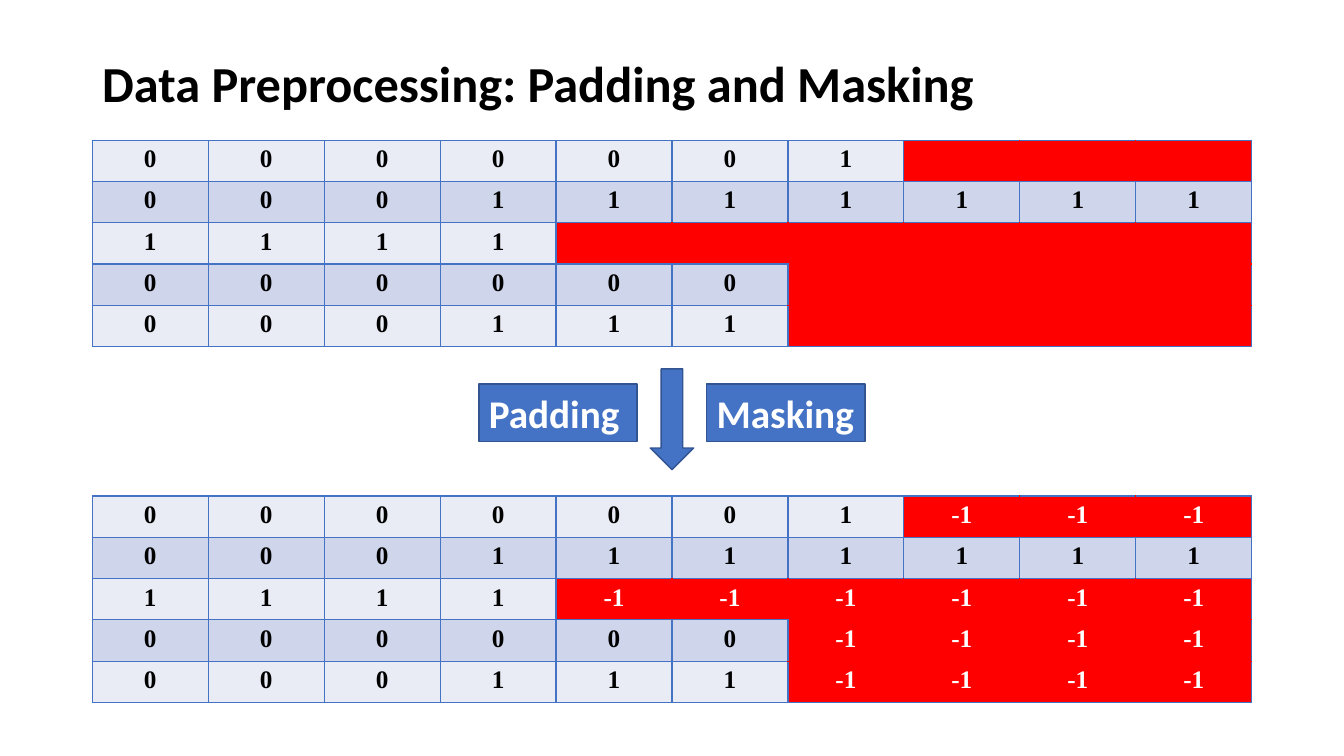
import dataclasses

import pptx
import pptx.dml.color
import pptx.enum.shapes
import pptx.enum.text
import pptx.oxml
import pptx.oxml.ns
import pptx.util

WIDTH, HEIGHT = 13.33, 7.5
COLUMNS, COLUMN, ROW = 10, 1.15, 0.41
LEFT = (WIDTH - COLUMNS * COLUMN) / 2
BLUE, NAVY, RED = "4472C4", "325491", "FF0000"
BLACK, WHITE = "000000", "FFFFFF"
BANDS = ("E9EBF5", "CFD5EA")
SEQUENCES = ("0000001", "0001111111", "1111", "000000", "000111")
SHAPE = pptx.enum.shapes.MSO_SHAPE
ALIGN = pptx.enum.text.PP_ALIGN
ANCHOR = pptx.enum.text.MSO_ANCHOR


@dataclasses.dataclass
class Matrix:
    """A table of sequences and the text that fills their short ends."""
    top: float
    filler: str


@dataclasses.dataclass
class Block:
    """A blue shape centred at an offset from the middle of the slide."""
    kind: int
    offset: float
    top: float
    width: float
    height: float
    text: str = ""


MATRICES = (Matrix(1.39, ""), Matrix(4.92, "-1"))
BLOCKS = (
    Block(SHAPE.DOWN_ARROW, 0, 3.66, 0.43, 1),
    Block(SHAPE.RECTANGLE, -1.13, 3.81, 1.57, 0.57, "Padding"),
    Block(SHAPE.RECTANGLE, 1.13, 3.81, 1.57, 0.57, "Masking"),
)


def rgb(color: str) -> pptx.dml.color.RGBColor:
    """Turn a hex string into a colour."""
    return pptx.dml.color.RGBColor.from_string(color)


def inches(*lengths: float) -> list:
    """Turn numbers into lengths in inches."""
    return [pptx.util.Inches(length) for length in lengths]


def write(tf, text: str, size: float, font: str, color: str, align=ALIGN.LEFT) -> None:
    """Write one bold paragraph into a text frame."""
    p = tf.paragraphs[0]
    p.text = text
    p.alignment = align
    p.font.size = pptx.util.Pt(size)
    p.font.name = font
    p.font.bold = True
    p.font.color.rgb = rgb(color)


def is_padded(row: int, column: int) -> bool:
    """Tell whether a cell lies beyond the end of its sequence."""
    return (0 <= row < len(SEQUENCES)
            and len(SEQUENCES[row]) <= column < COLUMNS)


def add_borders(cell, row: int, column: int) -> None:
    """Outline a cell in blue, and in red between two padded cells."""
    tc_pr = cell._tc.get_or_add_tcPr()
    neighbours = {"L": (row, column - 1), "R": (row, column + 1),
                  "T": (row - 1, column), "B": (row + 1, column)}
    for index, (side, place) in enumerate(neighbours.items()):
        inner = is_padded(row, column) and is_padded(*place)
        tc_pr.insert(index, pptx.oxml.parse_xml(
            f'<a:ln{side} w="12700" {pptx.oxml.ns.nsdecls("a")}><a:solidFill>'
            f'<a:srgbClr val="{RED if inner else BLUE}"/>'
            f'</a:solidFill></a:ln{side}>'))


def add_matrix(s, matrix: Matrix) -> None:
    """Draw the sequences as a banded table with red padding."""
    rows = len(SEQUENCES)
    table = s.shapes.add_table(rows, COLUMNS, *inches(
        LEFT, matrix.top, COLUMNS * COLUMN, rows * ROW)).table
    table.first_row = False
    for column in table.columns:
        column.width = pptx.util.Inches(COLUMN)
    for r, sequence in enumerate(SEQUENCES):
        table.rows[r].height = pptx.util.Inches(ROW)
        for c in range(COLUMNS):
            cell, padded = table.cell(r, c), is_padded(r, c)
            cell.fill.solid()
            cell.fill.fore_color.rgb = rgb(RED if padded else BANDS[r % 2])
            write(cell.text_frame, matrix.filler if padded else sequence[c],
                  18, "Times New Roman", WHITE if padded else BLACK, ALIGN.CENTER)
            add_borders(cell, r, c)


def add_block(s, block: Block) -> None:
    """Draw a blue shape with its label, if it has one."""
    left = (WIDTH - block.width) / 2 + block.offset
    sp = s.shapes.add_shape(block.kind, *inches(
        left, block.top, block.width, block.height))
    sp.shadow.inherit = False
    sp.fill.solid()
    sp.fill.fore_color.rgb = rgb(BLUE)
    sp.line.color.rgb = rgb(NAVY)
    sp.line.width = pptx.util.Pt(1)
    if block.text:
        sp.text_frame.word_wrap = False
        write(sp.text_frame, block.text, 28, "Calibri", WHITE)


def add_title(s, text: str) -> None:
    """Write the slide title above the first table."""
    tf = s.shapes.add_textbox(*inches(LEFT, 0.55, COLUMNS * COLUMN, 0.61)).text_frame
    tf.word_wrap = True
    tf.vertical_anchor = ANCHOR.MIDDLE
    write(tf, text, 36, "Calibri", BLACK)
    tf.paragraphs[0].line_spacing = 0.9


def main() -> None:
    """Build and save the slide."""
    prs = pptx.Presentation()
    prs.slide_width, prs.slide_height = inches(WIDTH, HEIGHT)
    s = prs.slides.add_slide(prs.slide_layouts[6])
    add_title(s, "Data Preprocessing: Padding and Masking")
    for matrix in MATRICES:
        add_matrix(s, matrix)
    for block in BLOCKS:
        add_block(s, block)
    prs.save("out.pptx")


main()
